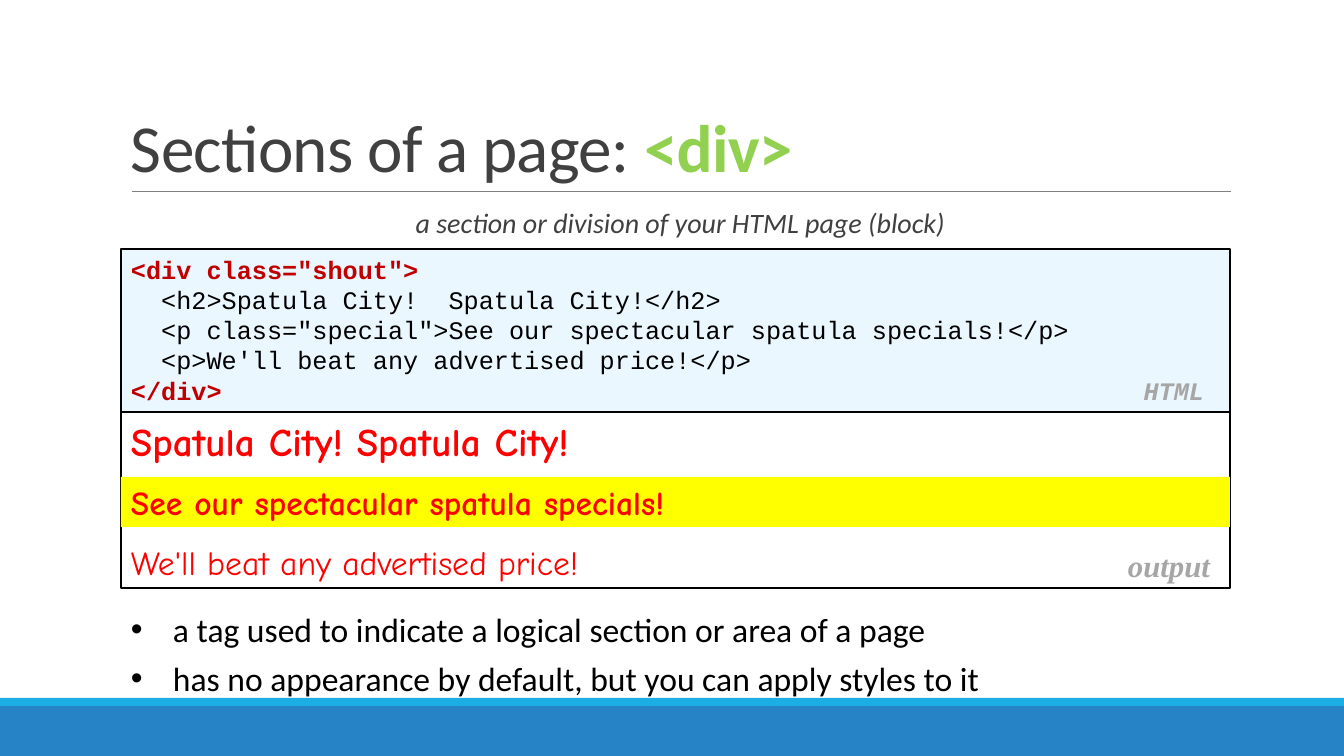
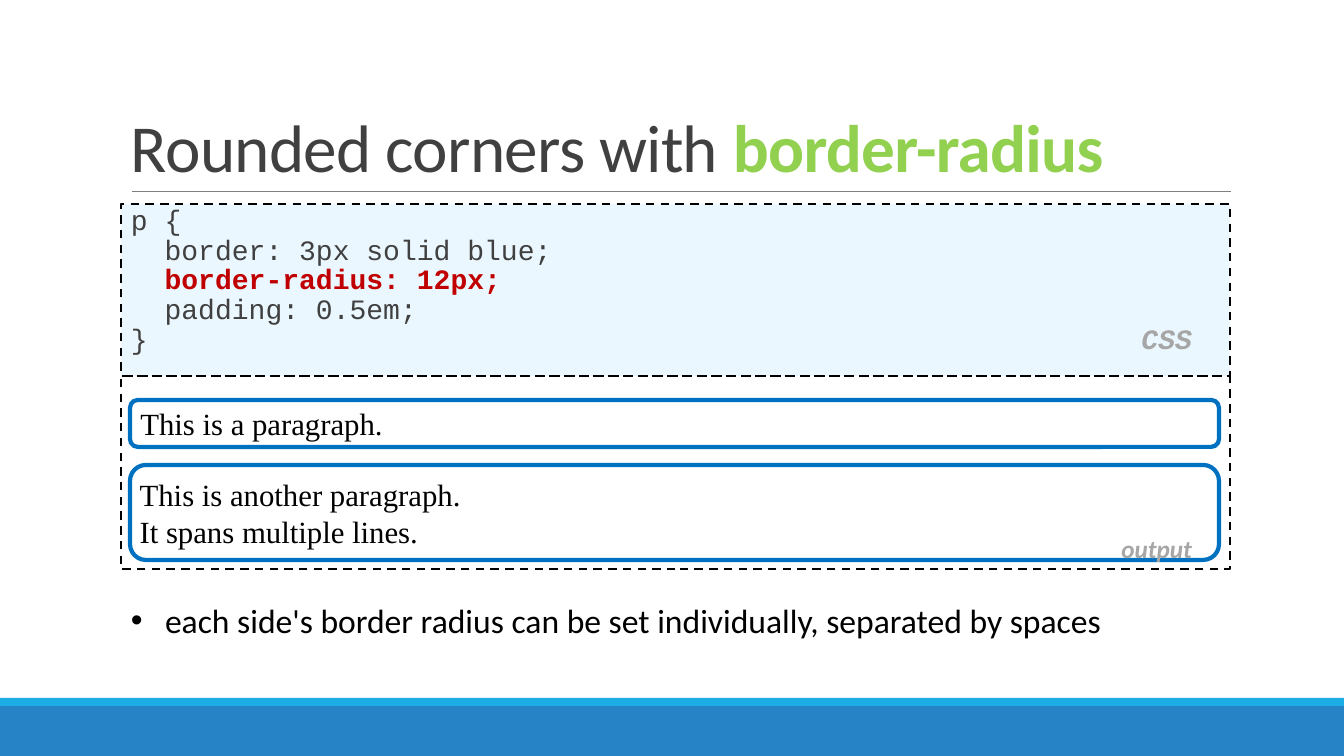
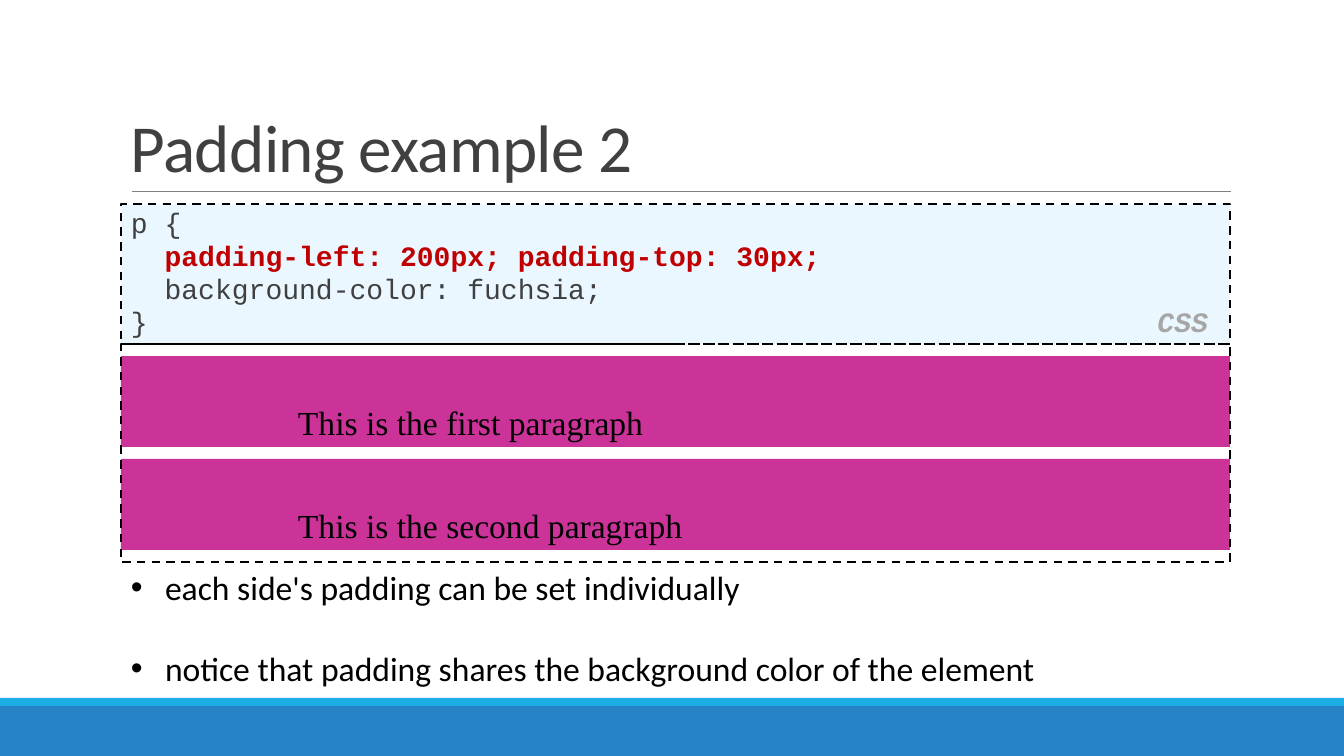
from lxml import etree
from pptx import Presentation
from pptx import util as u
from pptx.dml.color import RGBColor
from pptx.enum import dml, shapes, text
from pptx.oxml import ns

SLIDE_WIDTH, SLIDE_HEIGHT = 1344, 756
EMU_PER_PX = 12192000 / SLIDE_WIDTH
LEFT, WIDTH = 121, 1109
INSET_X, INSET_Y = 10, 5
CODE_TOP = 204

BLACK, WHITE, GRAY, DARK = "000000", "FFFFFF", "A6A6A6", "404040"
BLUE, CYAN, RULE = "2683C6", "1CADE4", "808080"
CODE_FILL, BORDER_BLUE, FUCHSIA, YELLOW = "EBF7FF", "0070C0", "CC3399", "FFFF00"

TITLE = {"name": "Calibri", "size": u.Pt(48), "color": DARK, "spacing": -50}
KEYWORD = {**TITLE, "color": "92D050", "bold": True}
SUBTITLE = {"name": "Calibri", "size": u.Pt(20), "color": DARK, "italic": True}
BULLET = {"name": "Calibri", "size": u.Pt(24), "color": BLACK}
CODE = {"name": "Courier New", "size": u.Pt(20), "color": DARK}
SMALL_CODE = {**CODE, "size": u.Pt(18), "color": BLACK}
HOT = {"color": "C00000", "bold": True}
TAG = {"color": GRAY, "bold": True, "italic": True}
SERIF = {"name": "Times New Roman", "size": u.Pt(22), "color": BLACK}
COMIC = {"name": "Comic Neue", "size": u.Pt(24), "color": "FF0000"}
COMIC_BOLD = {**COMIC, "bold": True}

TOP = text.MSO_ANCHOR.TOP
MIDDLE = text.MSO_ANCHOR.MIDDLE
BOTTOM = text.MSO_ANCHOR.BOTTOM
CENTER = text.PP_ALIGN.CENTER


def px(length):
    """Turn pixels into EMU."""
    return u.Emu(round(length * EMU_PER_PX))


def color(value):
    """Turn a hex string into a colour."""
    return RGBColor.from_string(value)


def assign(target, values):
    """Set each value as an attribute of the target."""
    for name, value in values.items():
        setattr(target, name, value)


def write_run(paragraph, content, style):
    """Add a styled run to a paragraph."""
    run = paragraph.add_run()
    run.text = content
    assign(run.font, {k: v for k, v in style.items() if k not in ("color", "spacing")})
    run.font.color.rgb = color(style["color"])
    if "spacing" in style:
        run._r.get_or_add_rPr().set("spc", str(style["spacing"]))


def write(shape, paragraphs, anchor=TOP, inset=INSET_X, **paragraph_format):
    """Fill a shape with paragraphs, each a list of (text, style) runs."""
    frame = shape.text_frame
    assign(frame, {
        "word_wrap": True, "vertical_anchor": anchor,
        "margin_left": px(inset), "margin_right": px(INSET_X),
        "margin_top": px(INSET_Y), "margin_bottom": px(INSET_Y),
    })
    values = {"alignment": text.PP_ALIGN.LEFT, **paragraph_format}
    for index, runs in enumerate(paragraphs):
        paragraph = frame.add_paragraph() if index else frame.paragraphs[0]
        assign(paragraph, values)
        for content, style in runs:
            write_run(paragraph, content, style)


def add_box(slide, left, top, width, height, fill=None, line=None, weight=1.5,
            dashed=False, kind=shapes.MSO_SHAPE.RECTANGLE):
    """Add a preset shape with an optional fill and outline."""
    shape = slide.shapes.add_shape(kind, px(left), px(top), px(width), px(height))
    shape.shadow.inherit = False
    if fill:
        shape.fill.solid()
        shape.fill.fore_color.rgb = color(fill)
    else:
        shape.fill.background()
    if line:
        shape.line.color.rgb = color(line)
        shape.line.width = u.Pt(weight)
        if dashed:
            shape.line.dash_style = dml.MSO_LINE.DASH
    else:
        shape.line.fill.background()
    return shape


def add_text(slide, top, height, paragraphs, left=LEFT, width=WIDTH, **options):
    """Add a text box, as wide as the content area by default."""
    shape = slide.shapes.add_textbox(px(left), px(top), px(width), px(height))
    write(shape, paragraphs, **options)
    return shape


def add_panel(slide, top, height, fill=None, dashed=True):
    """Add an outlined panel across the content area."""
    return add_box(slide, LEFT, top, WIDTH, height, fill, BLACK, dashed=dashed)


def add_code(slide, top, height, lines, hot, style, dashed=True, **options):
    """Add a code panel whose hot line numbers are emphasised."""
    panel = add_panel(slide, top, height, CODE_FILL, dashed)
    write(panel, [[(line, {**style, **HOT} if index in hot else style)]
                  for index, line in enumerate(lines)], **options)


def add_tag(slide, content, right, top, style):
    """Add a gray label that ends at the given right edge."""
    width = 140
    add_text(slide, top - INSET_Y, 45, [[(content, {**style, **TAG})]],
             left=right + INSET_X - width, width=width,
             alignment=text.PP_ALIGN.RIGHT)


def add_bullets(slide, top, height, items, indent, gap=0):
    """Add a bulleted list with a hanging indent."""
    box = add_text(slide, top, height, [[(item, BULLET)] for item in items])
    for index, paragraph in enumerate(box.text_frame.paragraphs):
        properties = paragraph._p.get_or_add_pPr()
        properties.set("marL", str(px(indent)))
        properties.set("indent", str(-px(indent)))
        font = etree.SubElement(properties, ns.qn("a:buFont"))
        font.set("typeface", "Arial")
        etree.SubElement(properties, ns.qn("a:buChar")).set("char", "•")
        if index:
            paragraph.space_before = u.Pt(gap)


def add_slide(presentation, title, keyword=""):
    """Add a slide with the shared bands, rule and title."""
    slide = presentation.slides.add_slide(presentation.slide_layouts[6])
    add_box(slide, 0, 706, SLIDE_WIDTH, 50, BLUE)
    add_box(slide, 0, 698, SLIDE_WIDTH, 8, CYAN)
    rule = slide.shapes.add_connector(
        shapes.MSO_CONNECTOR.STRAIGHT, px(132), px(191), px(1231), px(191))
    rule.line.color.rgb = color(RULE)
    rule.line.width = u.Pt(0.5)
    etree.SubElement(rule._element.spPr, ns.qn("a:effectLst"))
    runs = [(title, TITLE)] + ([(keyword, KEYWORD)] if keyword else [])
    add_text(slide, 31, 160, [runs], anchor=BOTTOM, line_spacing=0.85)
    return slide


def build_div(presentation):
    """Build the slide on page sections."""
    slide = add_slide(presentation, "Sections of a page: ", "<div>")
    add_text(slide, CODE_TOP, 45,
             [[("a section or division of your HTML page (block)", SUBTITLE)]],
             width=WIDTH + INSET_X, alignment=CENTER, line_spacing=0.9)
    add_code(slide, 249, 163, [
        '<div class="shout">',
        "  <h2>Spatula City!  Spatula City!</h2>",
        '  <p class="special">See our spectacular spatula specials!</p>',
        "  <p>We'll beat any advertised price!</p>",
        "</div>",
    ], (0, 4), SMALL_CODE, dashed=False)
    add_tag(slide, "HTML", 1204, 375, SMALL_CODE)
    output = add_panel(slide, 412, 176, dashed=False)
    heading = {**COMIC_BOLD, "size": u.Pt(28)}
    write(output, [[("Spatula City! Spatula City!", heading)]])
    special = add_box(slide, LEFT, 477, WIDTH, 50, YELLOW)
    write(special, [[("See our spectacular spatula specials!", COMIC_BOLD)]])
    add_text(slide, 537, 50, [[("We'll beat any advertised price!", COMIC)]])
    add_tag(slide, "output", 1210, 547, SERIF)
    add_bullets(slide, 604, 100, [
        "a tag used to indicate a logical section or area of a page",
        "has no appearance by default, but you can apply styles to it",
    ], indent=42, gap=6)


def build_radius(presentation):
    """Build the slide on rounded corners."""
    slide = add_slide(presentation, "Rounded corners with ", "border-radius")
    add_code(slide, CODE_TOP, 172, [
        "p {",
        "  border: 3px solid blue;",
        "  border-radius: 12px;",
        "  padding: 0.5em;",
        "}",
    ], (2,), CODE, line_spacing=0.8, space_after=u.Pt(2))
    add_tag(slide, "CSS", 1192, 322, CODE)
    for top, height, inset, lines in (
        (400, 47, 8, ["This is a paragraph."]),
        (465, 95, 5, ["This is another paragraph.", "It spans multiple lines."]),
    ):
        box = add_box(slide, 130, top, 1089, height, WHITE, BORDER_BLUE, 3,
                      kind=shapes.MSO_SHAPE.ROUNDED_RECTANGLE)
        write(box, [[(line, SERIF)] for line in lines], anchor=MIDDLE, inset=inset)
    add_panel(slide, 376, 193)
    add_tag(slide, "output", 1192, 533, {**BULLET, "size": u.Pt(18)})
    add_bullets(slide, 595, 50, [
        "each side's border radius can be set individually, separated by spaces",
    ], indent=34)


def build_padding(presentation):
    """Build the slide on padding."""
    slide = add_slide(presentation, "Padding example 2")
    add_code(slide, CODE_TOP, 140, [
        "p {",
        "  padding-left: 200px; padding-top: 30px;",
        "  background-color: fuchsia;",
        "}",
    ], (1,), CODE, line_spacing=0.9, space_after=u.Pt(2))
    add_tag(slide, "CSS", 1208, 305, CODE)
    height, gap = 91, 12
    for index, order in enumerate(("first", "second")):
        block = add_box(slide, LEFT, 356 + index * (height + gap), WIDTH, height, FUCHSIA)
        write(block, [[(f"This is the {order} paragraph", {**SERIF, "size": u.Pt(24)})]],
              anchor=BOTTOM, inset=177)
    add_bullets(slide, 562, 132, [
        "each side's padding can be set individually",
        "notice that padding shares the background color of the element",
    ], indent=34, gap=29)
    add_panel(slide, 344, 218)


def main():
    """Build and save the presentation."""
    presentation = Presentation()
    presentation.slide_width = px(SLIDE_WIDTH)
    presentation.slide_height = px(SLIDE_HEIGHT)
    for build in (build_div, build_radius, build_padding):
        build(presentation)
    presentation.save("out.pptx")


if __name__ == "__main__":
    main()
